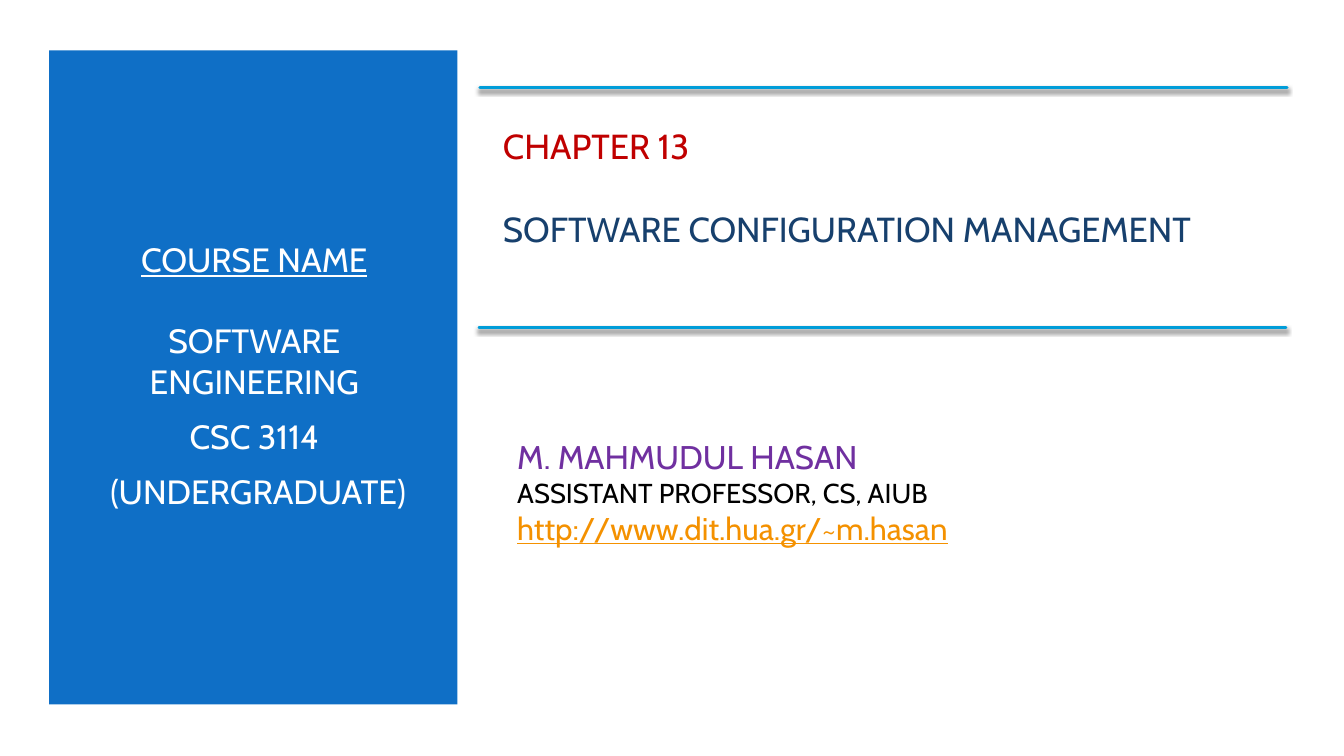
from lxml.etree import SubElement
from pptx import Presentation
from pptx.dml.color import RGBColor
from pptx.enum.shapes import MSO_CONNECTOR as Connector, MSO_SHAPE as Shape
from pptx.enum.text import MSO_ANCHOR as Anchor, MSO_AUTO_SIZE as AutoSize, PP_ALIGN as Align
from pptx.oxml import parse_xml
from pptx.oxml.ns import nsdecls, qn
from pptx.util import Cm, Pt

COLORS = {
    "white": "FFFFFF",
    "panel": "0F6FC6",
    "chapter": "C00000",
    "topic": "17406D",
    "author": "7030A0",
    "black": "000000",
    "web": "F49100",
    "rule": "009DD9",
}


class CoverSlide:
    font_name = "Cabin"

    def __init__(self, deck):
        two_content = deck.slide_layouts[3]
        self.slide = deck.slides.add_slide(two_content)
        self.paint(self.slide.background.fill, "white")

    def paint(self, fill, color):
        fill.solid()
        fill.fore_color.rgb = RGBColor.from_string(COLORS[color])

    def panel(self, left, top, width, height):
        panel = self.slide.shapes.add_shape(
            Shape.RECTANGLE, Cm(left), Cm(top), Cm(width), Cm(height))
        panel.shadow.inherit = False
        self.paint(panel.fill, "panel")
        panel.line.fill.background()
        self.slide.shapes._spTree.insert(2, panel._element)

    def text(self, index, box, lines, align=Align.LEFT):
        holder = self.slide.placeholders[index]
        holder.left, holder.top, holder.width, holder.height = map(Cm, box)
        frame = holder.text_frame
        frame.word_wrap = True
        frame.auto_size = AutoSize.NONE
        frame.vertical_anchor = Anchor.MIDDLE
        for number, (words, size, color, underline, gap) in enumerate(lines):
            paragraph = frame.add_paragraph() if number else frame.paragraphs[0]
            properties = paragraph._p.get_or_add_pPr()
            properties.set("marL", "0")
            properties.set("indent", "0")
            SubElement(properties, qn("a:buNone"))
            paragraph.alignment = align
            paragraph.space_before = Pt(gap)
            run = paragraph.add_run()
            run.text = words
            run.font.name = self.font_name
            run.font.size = Pt(size)
            run.font.underline = underline
            run.font.color.rgb = RGBColor.from_string(COLORS[color])

    def rule(self, left, right, top):
        rule = self.slide.shapes.add_connector(
            Connector.STRAIGHT, Cm(left), Cm(top), Cm(right), Cm(top))
        rule.line.width = Pt(2)
        rule.line.color.rgb = RGBColor.from_string(COLORS["rule"])
        rule.line._get_or_add_ln().set("cap", "rnd")
        rule._element.spPr.append(parse_xml(
            f'<a:effectLst {nsdecls("a")}>'
            f'<a:outerShdw blurRad="{Pt(3)}" dist="{Pt(2)}" dir="5400000" rotWithShape="0">'
            f'<a:srgbClr val="{COLORS["black"]}"><a:alpha val="55000"/></a:srgbClr>'
            '</a:outerShdw></a:effectLst>'))


def main():
    deck = Presentation()
    deck.slide_width, deck.slide_height = Cm(33.87), Cm(19.05)
    cover = CoverSlide(deck)
    cover.panel(1.24, 1.27, 10.29, 16.48)
    cover.text(0, (12.42, 2.79, 19.94, 3.84), [
        ("CHAPTER 13", 24.8, "chapter", False, 0),
        ("SOFTWARE CONFIGURATION MANAGEMENT", 24.8, "topic", False, 29.5),
    ])
    cover.text(1, (2.13, 2.79, 8.56, 13.34), [
        ("COURSE NAME", 24, "white", True, 0),
        ("SOFTWARE ENGINEERING", 24, "white", False, 29),
        ("CSC 3114", 24, "white", False, 10.8),
        (" (UNDERGRADUATE)", 24, "white", False, 10.8),
    ], Align.CENTER)
    cover.text(2, (12.78, 10.41, 16.92, 3.96), [
        ("M. MAHMUDUL HASAN", 23.4, "author", False, 0),
        ("ASSISTANT PROFESSOR, CS, AIUB", 19.5, "black", False, 0),
        ("http://www.dit.hua.gr/~m.hasan", 22.4, "web", True, 0),
    ])
    cover.rule(12.09, 32.44, 2.21)
    cover.rule(12.07, 32.41, 8.26)
    deck.save("out.pptx")


if __name__ == "__main__":
    main()
